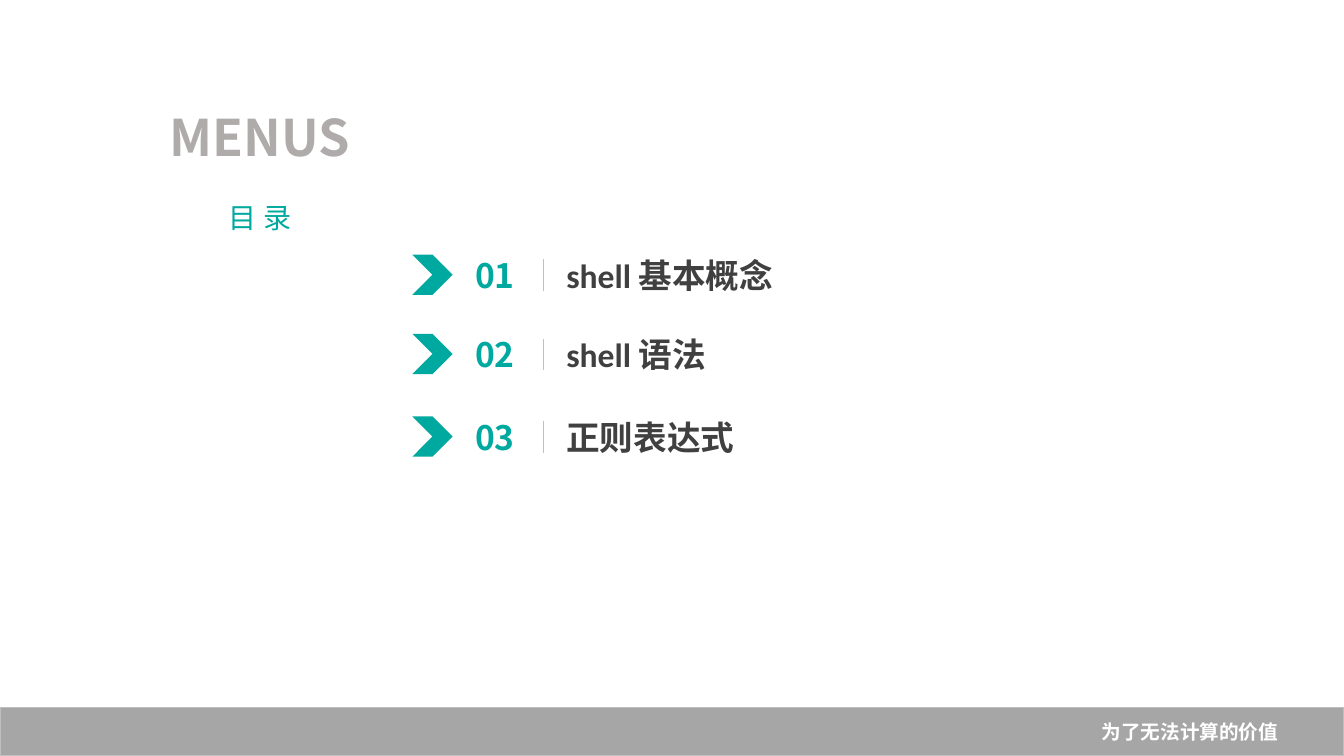
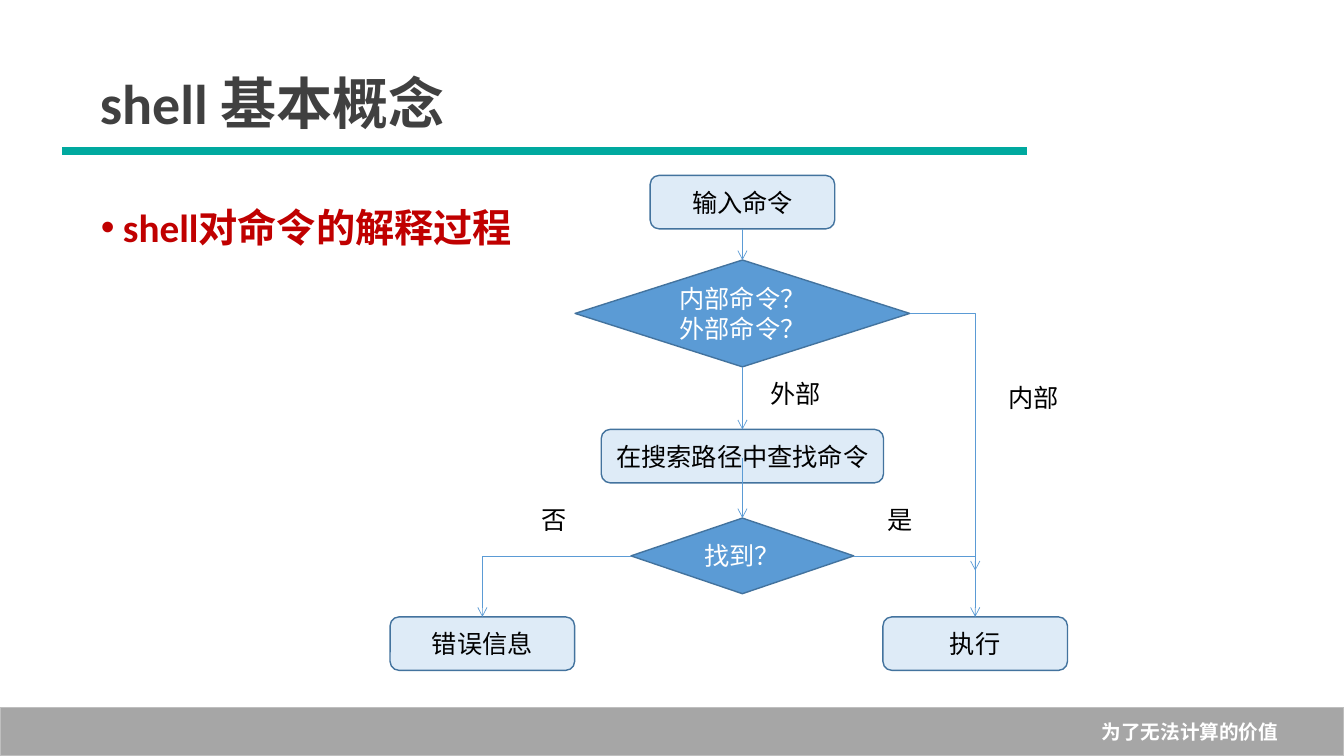
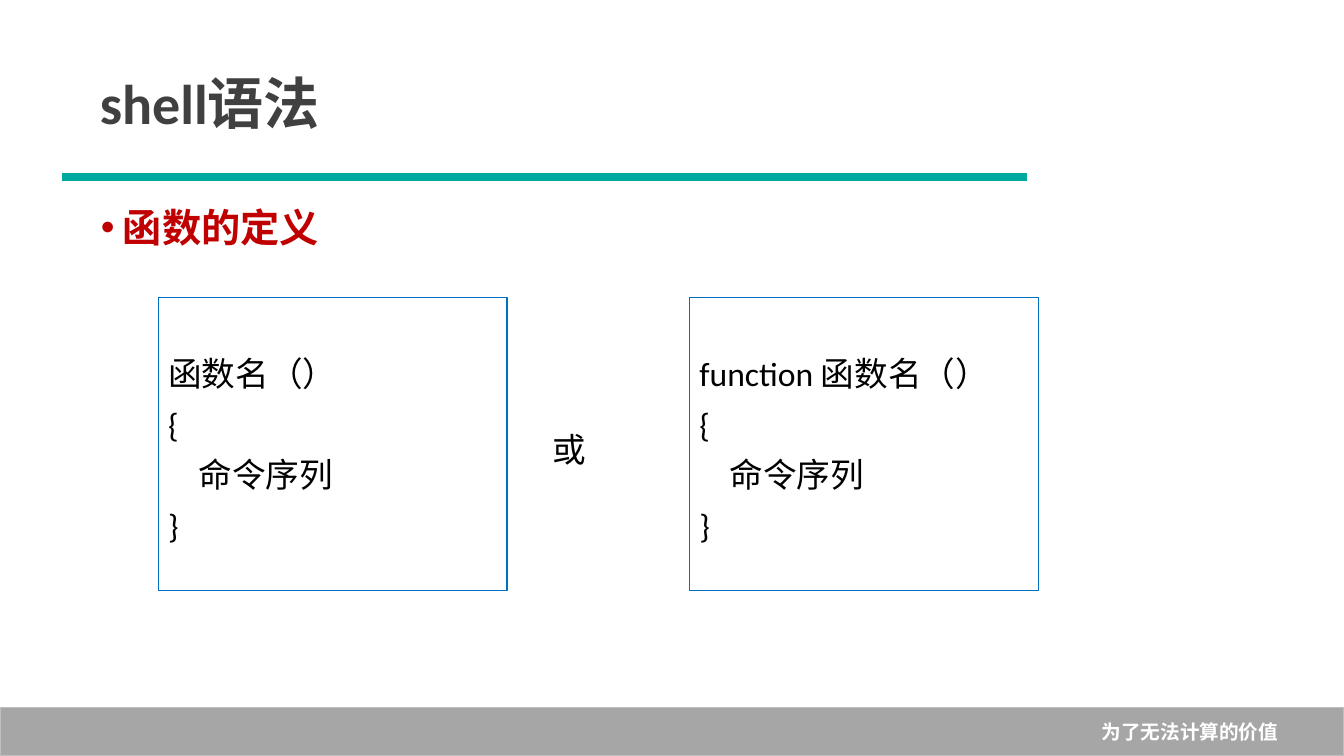
from lxml.etree import SubElement
from pptx import Presentation
from pptx.dml.color import RGBColor
from pptx.enum.shapes import MSO_CONNECTOR, MSO_SHAPE
from pptx.enum.text import MSO_ANCHOR, PP_ALIGN
from pptx.oxml.ns import qn
from pptx.util import Inches, Pt

# Shared look
TEAL = RGBColor(0x00, 0xA9, 0x9F)
RED = RGBColor(0xC0, 0x00, 0x00)
DARK = RGBColor(0x40, 0x40, 0x40)
BLACK = RGBColor(0x00, 0x00, 0x00)
WHITE = RGBColor(0xFF, 0xFF, 0xFF)
WARM_GRAY = RGBColor(0xAF, 0xAB, 0xAB)
BAND_GRAY = RGBColor(0xA6, 0xA6, 0xA6)
BAND_EDGE = RGBColor(0xBF, 0xBF, 0xBF)
DIVIDER = RGBColor(0xC0, 0xC0, 0xC0)
PALE_BLUE = RGBColor(0xDE, 0xEB, 0xF7)
BLUE = RGBColor(0x5B, 0x9B, 0xD5)
BLUE_EDGE = RGBColor(0x43, 0x73, 0x9E)
CODE_EDGE = RGBColor(0x00, 0x70, 0xC0)
LATIN = "Calibri"
CHINESE = "Noto Sans CJK SC"
WIDTH, HEIGHT = Inches(13.33), Inches(7.5)

# Connection sites of boxes and diamonds
TOP, LEFT, BOTTOM, RIGHT = range(4)

# Flowchart columns and sizes, in percent of the slide
ERROR_X, MAIN_X, RUN_X = 35.89, 55.24, 72.56
STEP_WIDTH, STEP_HEIGHT = 13.73, 7.07


def across(percent):
    return round(WIDTH * percent / 100)


def down(percent):
    return round(HEIGHT * percent / 100)


def frame(left, top, width, height):
    """Turn percentages of the slide into lengths."""
    return across(left), down(top), across(width), down(height)


def plain(shape):
    """Drop the theme style with its shadow, fill and line."""
    shape.element.remove(shape.element.find(qn("p:style")))
    return shape


def write(shape, lines, size, color, bold=False, align=PP_ALIGN.LEFT,
          font=LATIN, spacing=1.0):
    text_frame = shape.text_frame
    text_frame.word_wrap = True
    text_frame.vertical_anchor = MSO_ANCHOR.MIDDLE
    text_frame.text = lines
    for paragraph in text_frame.paragraphs:
        paragraph.alignment = align
        paragraph.line_spacing = spacing
        paragraph.space_before = Pt(0)
        paragraph.font.size = Pt(size)
        paragraph.font.bold = bold
        paragraph.font.color.rgb = color
        paragraph.font.name = font
        defaults = paragraph._p.pPr.find(qn("a:defRPr"))
        SubElement(defaults, qn("a:ea")).set("typeface", CHINESE)
    return shape


def indent(paragraph, left, first_line=0):
    paragraph._p.pPr.set("marL", str(Inches(left)))
    paragraph._p.pPr.set("indent", str(Inches(first_line)))


def add_text(slide, box, text, size, color, **style):
    return write(slide.shapes.add_textbox(*frame(*box)), text, size, color, **style)


def add_block(slide, kind, box, fill=None, edge=None, weight=1):
    shape = plain(slide.shapes.add_shape(kind, *frame(*box)))
    if fill is None:
        shape.fill.background()
    else:
        shape.fill.solid()
        shape.fill.fore_color.rgb = fill
    if edge is None:
        shape.line.fill.background()
    else:
        shape.line.color.rgb = edge
        shape.line.width = Pt(weight)
    return shape


def add_line(slide, begin, end, color, weight, kind=MSO_CONNECTOR.STRAIGHT):
    """Each end is a point in percent or a (shape, site) pair."""
    connector = plain(slide.shapes.add_connector(kind, 0, 0, 0, 0))
    if isinstance(begin[0], (int, float)):
        connector.begin_x, connector.begin_y = across(begin[0]), down(begin[1])
    else:
        connector.begin_connect(*begin)
    if isinstance(end[0], (int, float)):
        connector.end_x, connector.end_y = across(end[0]), down(end[1])
    else:
        connector.end_connect(*end)
    connector.line.color.rgb = color
    connector.line.width = Pt(weight)
    SubElement(connector.element.spPr, qn("a:effectLst"))
    return connector


def add_arrow(slide, begin, end, bent=False):
    kind = MSO_CONNECTOR.ELBOW if bent else MSO_CONNECTOR.STRAIGHT
    properties = add_line(slide, begin, end, BLUE, 0.5, kind).element.spPr
    SubElement(properties.find(qn("a:ln")), qn("a:tailEnd")).set("type", "arrow")
    if bent:
        properties.find(qn("a:prstGeom")).set("prst", "bentConnector2")


def place(placeholder, box):
    (placeholder.left, placeholder.top,
     placeholder.width, placeholder.height) = frame(*box)
    return placeholder


def add_footer(presentation, slide):
    """Draw the band once and move it to the master."""
    band = add_block(slide, MSO_SHAPE.RECTANGLE, (0, 93.6, 100, 6.4),
                     BAND_GRAY, BAND_EDGE)
    band.text_frame.margin_right = Inches(0.65)
    write(band, "为了无法计算的价值", 14, WHITE, bold=True, align=PP_ALIGN.RIGHT)
    presentation.slide_master.shapes.element.append(band.element)


def add_topic_slide(presentation, title, topic, rule_top):
    slide = presentation.slides.add_slide(presentation.slide_layouts[1])
    add_line(slide, (4.65, rule_top), (76.43, rule_top), TEAL, 5.75)
    write(place(slide.shapes.title, (6.68, 8.27, 32.85, 10.53)),
          title, 40, DARK, bold=True)
    body = place(slide.placeholders[1], (6.75, 24.8, 50.1, 10.53))
    write(body, topic, 28, RED, bold=True)
    indent(body.text_frame.paragraphs[0], 0.22, -0.22)
    return slide


def add_menu_row(slide, top, number, label):
    add_block(slide, MSO_SHAPE.CHEVRON, (30.68, top + 2.55, 3, 5.33), TEAL)
    add_text(slide, (33.68, top, 6.3, 10.53), number, 24, TEAL, bold=True,
             align=PP_ALIGN.CENTER, font=CHINESE)
    add_line(slide, (40.43, top + 3.2), (40.43, top + 7.33), DIVIDER, 0.5)
    add_text(slide, (41.4, top, 32.85, 10.53), label, 24, DARK, bold=True)


def add_step(slide, center, top, text, width=STEP_WIDTH):
    box = (center - width / 2, top, width, STEP_HEIGHT)
    shape = add_block(slide, MSO_SHAPE.ROUNDED_RECTANGLE, box, PALE_BLUE, BLUE_EDGE)
    return write(shape, text, 18, BLACK, align=PP_ALIGN.CENTER)


def add_decision(slide, top, width, height, text):
    box = (MAIN_X - width / 2, top, width, height)
    shape = add_block(slide, MSO_SHAPE.FLOWCHART_DECISION, box, BLUE, BLUE_EDGE)
    return write(shape, text, 18, WHITE, align=PP_ALIGN.CENTER)


def add_code_box(slide, left, heading):
    shape = add_block(slide, MSO_SHAPE.RECTANGLE, (left, 39.33, 25.95, 38.8),
                      edge=CODE_EDGE, weight=0.75)
    write(shape, f"{heading}\n{{\n命令序列\n}}", 24, BLACK, spacing=1.25)
    indent(shape.text_frame.paragraphs[2], 0.3)


def build_menu(presentation):
    slide = presentation.slides.add_slide(presentation.slide_layouts[5])
    add_footer(presentation, slide)
    add_text(slide, (5.63, 12.4, 27.45, 11.2), "MENUS", 36, WARM_GRAY, bold=True,
             align=PP_ALIGN.CENTER, font=CHINESE)
    write(place(slide.shapes.title, (11.55, 22.67, 15.6, 12.67)), "目 录", 20, TEAL,
          align=PP_ALIGN.CENTER, font=CHINESE, spacing=0.9)
    for top, number, label in ((31.13, "01", "shell 基本概念"),
                               (41.6, "02", "shell 语法"),
                               (52.53, "03", "正则表达式")):
        add_menu_row(slide, top, number, label)


def build_flowchart(presentation):
    slide = add_topic_slide(presentation, "shell 基本概念", "shell对命令的解释过程", 20)

    # Steps and decisions
    command = add_step(slide, MAIN_X, 23.2, "输入命令")
    origin = add_decision(slide, 34.4, 24.9, 14.13, "内部命令？外部命令？")
    search = add_step(slide, MAIN_X, 56.8, "在搜索路径中查找命令", width=21)
    found = add_decision(slide, 68.53, 16.58, 10, "找到？")
    error = add_step(slide, ERROR_X, 81.6, "错误信息")
    run = add_step(slide, RUN_X, 81.6, "执行")

    # Flow
    add_arrow(slide, (command, BOTTOM), (origin, TOP))
    add_arrow(slide, (origin, BOTTOM), (search, TOP))
    add_arrow(slide, (MAIN_X, 60.53), (found, TOP))
    add_arrow(slide, (found, LEFT), (error, TOP), bent=True)
    add_arrow(slide, (found, RIGHT), (run, TOP), bent=True)
    add_arrow(slide, (origin, RIGHT), (RUN_X, 75.47), bent=True)

    # Branch labels
    for left, top, text in ((63.53, 66.13, "是"), (73.43, 50, "内部"),
                            (55.73, 49.47, "外部"), (37.8, 66.13, "否")):
        add_text(slide, (left, top, 6.9, 5.2), text, 18, BLACK,
                 align=PP_ALIGN.CENTER)


def build_functions(presentation):
    slide = add_topic_slide(presentation, "shell语法", "函数的定义", 23.47)
    add_code_box(slide, 11.78, "函数名（）")
    add_code_box(slide, 51.3, "function 函数名（）")
    add_text(slide, (40.35, 41.73, 6.9, 34.13), "或", 24, BLACK, spacing=1.25)


def main():
    presentation = Presentation()
    presentation.slide_width, presentation.slide_height = WIDTH, HEIGHT
    build_menu(presentation)
    build_flowchart(presentation)
    build_functions(presentation)
    presentation.save("out.pptx")


if __name__ == "__main__":
    main()
